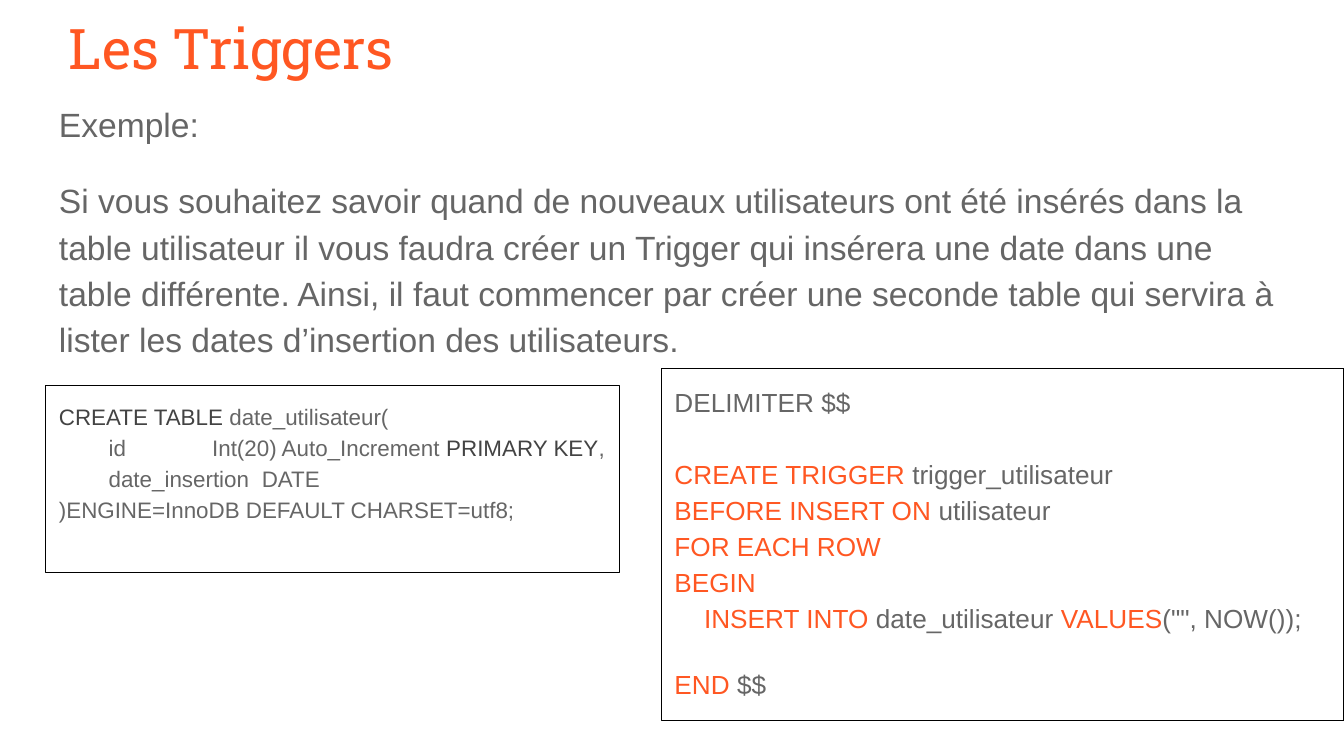
from dataclasses import dataclass

from lxml.etree import SubElement
from pptx import Presentation
from pptx.dml.color import RGBColor
from pptx.enum.shapes import MSO_SHAPE
from pptx.enum.text import MSO_ANCHOR, PP_ALIGN
from pptx.oxml.ns import qn
from pptx.util import Inches, Pt

WIDTH = 10
HEIGHT = WIDTH * 9 / 16
MARGIN = 0.34
ORANGE, GREY, DARK, BLACK = "FF5722", "666666", "434343", "000000"
BLANK_LINE = 19.3


@dataclass(frozen=True)
class Block:
    """One paragraph: its (text, colour) runs, spacing in points, tabs in inches."""
    runs: tuple[tuple[str, str], ...]
    before: float = 0
    tabs: tuple[float, ...] = ()
    spacing: float = 1.15


@dataclass(frozen=True)
class CodeBox:
    left: float
    top: float
    width: float
    height: float
    size: float
    blocks: tuple[Block, ...]


def colour(value: str) -> RGBColor:
    return RGBColor.from_string(value)


def place(shape, left: float, top: float, width: float, height: float) -> None:
    shape.left, shape.top = Inches(left), Inches(top)
    shape.width, shape.height = Inches(width), Inches(height)


def add_runs(paragraph, block: Block, size: float, font: str) -> None:
    for text, run_colour in block.runs:
        for index, piece in enumerate(text.split("\n")):
            if index:
                paragraph.add_line_break()
            if piece:
                run = paragraph.add_run()
                run.text = piece
                run.font.name, run.font.size = font, Pt(size)
                run.font.color.rgb = colour(run_colour)


def write(shape, blocks: tuple[Block, ...], size: float, font: str = "Arial") -> None:
    frame = shape.text_frame
    frame.word_wrap = True
    frame.vertical_anchor = MSO_ANCHOR.TOP
    frame.margin_left = frame.margin_top = frame.margin_bottom = Inches(0.1)
    frame.margin_right = Inches(0.08)
    for index, block in enumerate(blocks):
        paragraph = frame.add_paragraph() if index else frame.paragraphs[0]
        paragraph.alignment = PP_ALIGN.LEFT
        paragraph.line_spacing = block.spacing
        paragraph.space_before = Pt(block.before)
        paragraph.space_after = Pt(0)
        if block.tabs:
            properties = paragraph._p.get_or_add_pPr()
            tab_list = SubElement(properties, qn("a:tabLst"))
            for position in block.tabs:
                SubElement(tab_list, qn("a:tab"), pos=str(Inches(position)), algn="l")
        add_runs(paragraph, block, size, font)


def draw_code(slide, box: CodeBox) -> None:
    shape = slide.shapes.add_shape(MSO_SHAPE.RECTANGLE, 0, 0, 0, 0)
    place(shape, box.left, box.top, box.width, box.height)
    shape.shadow.inherit = False
    shape.fill.background()
    shape.line.color.rgb = colour(BLACK)
    shape.line.width = Pt(0.75)
    write(shape, box.blocks, box.size)


EXPLANATION = (
    Block((("Exemple:", GREY),)),
    Block(((
        "Si vous souhaitez savoir quand de nouveaux utilisateurs ont été insérés "
        "dans la table utilisateur il vous faudra créer un Trigger qui insérera une "
        "date dans une table différente. Ainsi, il faut commencer par créer une "
        "seconde table qui servira à lister les dates d’insertion des utilisateurs.",
        GREY),), before=16),
)

TABLE_CODE = CodeBox(MARGIN, 2.87, 4.27, 1.39, 12, (
    Block((
        ("CREATE TABLE", DARK),
        (" date_utilisateur(\n\tid\tInt(20) Auto_Increment ", GREY),
        ("PRIMARY KEY", DARK),
        (",\n\tdate_insertion\tDATE\n)ENGINE=InnoDB DEFAULT CHARSET=utf8;", GREY),
    ), tabs=(0.37, 1.14, 1.51)),
))

TRIGGER_CODE = CodeBox(4.92, 2.74, WIDTH - 4.92, 2.62, 14, (
    Block((("DELIMITER $$", GREY),)),
    Block((
        ("CREATE TRIGGER", ORANGE),
        (" trigger_utilisateur\n", GREY),
        ("BEFORE INSERT ON", ORANGE),
        (" utilisateur\n", GREY),
        ("FOR EACH ROW\nBEGIN\n\tINSERT INTO", ORANGE),
        (" date_utilisateur ", GREY),
        ("VALUES", ORANGE),
        ('("", NOW());', GREY),
    ), before=BLANK_LINE, tabs=(0.22,)),
    Block((("END ", ORANGE), ("$$", GREY)), before=16),
))

# Slide
presentation = Presentation()
presentation.slide_width, presentation.slide_height = Inches(WIDTH), Inches(HEIGHT)
slide = presentation.slides.add_slide(presentation.slide_layouts[5])

# Title
title = slide.shapes.title
place(title, 0.41, 0, 9.32, 0.63)
write(title, (Block((("Les Triggers", ORANGE),), spacing=1),), 30, "Roboto Slab")

# Explanation
explanation = slide.shapes.add_textbox(0, 0, 0, 0)
place(explanation, MARGIN, 0.63, WIDTH - 2 * MARGIN, 4.95)
write(explanation, EXPLANATION, 18)

# Code boxes
for code_box in (TABLE_CODE, TRIGGER_CODE):
    draw_code(slide, code_box)

presentation.save("out.pptx")
